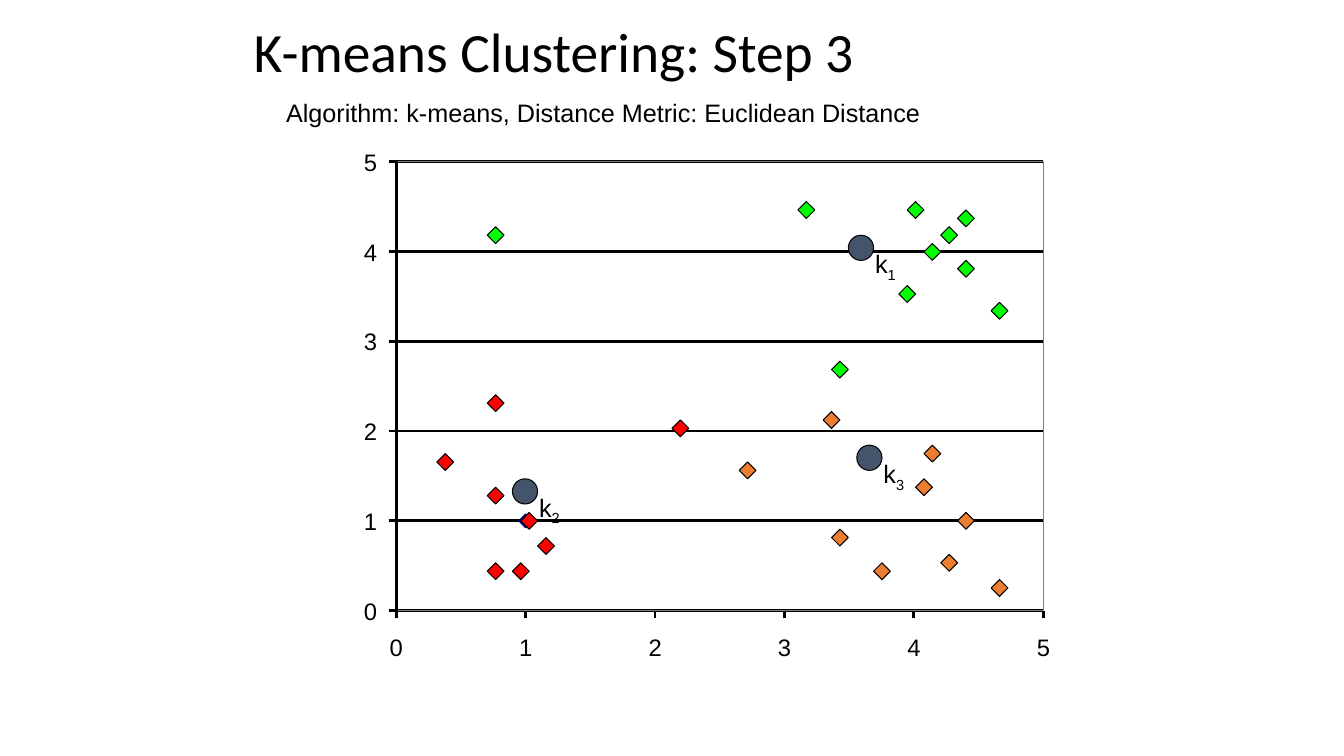
from lxml.etree import SubElement
from pptx import Presentation
from pptx.dml.color import RGBColor
from pptx.enum.shapes import MSO_CONNECTOR, MSO_SHAPE
from pptx.enum.text import MSO_ANCHOR
from pptx.oxml.ns import qn
from pptx.util import Pt

AXIS_MAX = 5
GRID = 6
TICK = 5.4
CENTROIDS = [(54, 9), (14, 38), (55, 34)]
CLUSTERS = {
    "FF0000": [(15, 42), (17, 45), (14, 48), (11, 39), (11, 28), (11, 48),
               (5, 35), (33, 31)],
    "00FF00": [(11, 8), (61, 5), (67, 6), (65, 8), (63, 10), (67, 12),
               (71, 17), (48, 5), (52, 24), (60, 15)],
    "ED7D31": [(52, 44), (57, 48), (62, 38), (51, 30), (41, 36), (67, 42),
               (65, 47), (63, 34), (71, 50)],
}


def color(code):
    """Turn a hex string into a colour."""
    return RGBColor.from_string(code)


def add_text(page, box, text, font, size, wrap=True, inset=True):
    """Place one paragraph of text in a box and return its frame."""
    frame = page.shapes.add_textbox(*map(Pt, box)).text_frame
    frame.word_wrap = wrap
    if not inset:
        frame.margin_left = frame.margin_right = 0
        frame.margin_top = frame.margin_bottom = 0
    frame.text = text
    font_style = frame.paragraphs[0].runs[0].font
    font_style.name = font
    font_style.size = Pt(size)
    font_style.color.rgb = color("000000")
    return frame


def add_shape(page, kind, box, fill, outline, width=0.75):
    """Place a preset shape; leave out fill or outline where it is None."""
    shape = page.shapes.add_shape(kind, *map(Pt, box))
    shape.shadow.inherit = False
    if fill:
        shape.fill.solid()
        shape.fill.fore_color.rgb = color(fill)
    else:
        shape.fill.background()
    if outline:
        shape.line.color.rgb = color(outline)
        shape.line.width = Pt(width)
    else:
        shape.line.fill.background()


def add_line(page, *ends):
    """Draw a black hairline between two points."""
    line = page.shapes.add_connector(MSO_CONNECTOR.STRAIGHT, *map(Pt, ends))
    line.line.color.rgb = color("000000")
    line.line.width = Pt(0)
    SubElement(line._element.spPr, qn("a:effectLst"))


def add_heading(page, box):
    """Place the title with the subtitle below it."""
    left, top, width, height = box
    title = add_text(page, (left, top, width, 42), "K-means Clustering: Step 3",
                     "Calibri", 39.6)
    title.vertical_anchor = MSO_ANCHOR.MIDDLE
    title.paragraphs[0].line_spacing = 0.9
    add_text(page, (left + 23, top + height - 29, 472, 29),
             "Algorithm: k-means, Distance Metric: Euclidean Distance",
             "Arial", 18, wrap=False)


def add_axes(page, box):
    """Draw the plot area with its gridlines, ticks and numbers."""
    left, top, width, height = box
    right, bottom = left + width, top + height
    add_shape(page, MSO_SHAPE.RECTANGLE, box, "FFFFFF", None)
    levels = [bottom - height * value / AXIS_MAX for value in range(AXIS_MAX + 1)]
    columns = [left + width * value / AXIS_MAX for value in range(AXIS_MAX + 1)]
    for y in levels:
        add_line(page, left, y, right, y)
    add_shape(page, MSO_SHAPE.RECTANGLE, box, None, "808080", 0.63)
    add_line(page, left, top, left, bottom)
    for value, (x, y) in enumerate(zip(columns, levels)):
        add_line(page, left - TICK, y, left, y)
        add_line(page, x, bottom + TICK, x, bottom)
        for label_left, label_top in ((left - 23, y - 10), (x - 4.6, bottom + 15.9)):
            add_text(page, (label_left, label_top, 9.4, 20.9), str(value),
                     "Arial", 17, wrap=False, inset=False)
    add_shape(page, MSO_SHAPE.DIAMOND, (columns[1] - 5, levels[1] - 5, 10, 10),
              "000080", "000080", 0.63)


def add_centroids(page, box):
    """Place the centroids, each with its subscripted label."""
    for number, (column, row) in enumerate(CENTROIDS, 1):
        left, top = box[0] + GRID * column, box[1] + GRID * row
        add_shape(page, MSO_SHAPE.OVAL, (left, top, 18, 18), "44546A", "000000")
        frame = add_text(page, (left + 12, top + 6, 42, 29), "k", "Arial", 18)
        span = frame.paragraphs[0].add_run()
        span.text = str(number)
        span.font.name = "Arial"
        span.font.size = Pt(18)
        span.font.color.rgb = color("000000")
        span.font._element.set("baseline", "-25000")


def add_clusters(page, box):
    """Place the data points in the colour of their cluster."""
    for fill, points in CLUSTERS.items():
        for column, row in points:
            place = (box[0] + GRID * column, box[1] + GRID * row, 12, 12)
            add_shape(page, MSO_SHAPE.DIAMOND, place, fill, "000000")


def main():
    """Build the slide and save it."""
    deck = Presentation()
    deck.slide_width, deck.slide_height = Pt(960), Pt(540)
    page = deck.slides.add_slide(deck.slide_layouts[6])
    points_box = (282, 114, 462, 324)
    add_axes(page, (283, 115.2, 462.2, 321.1))
    add_heading(page, (174.2, 18, 612, 77))
    add_centroids(page, points_box)
    add_clusters(page, points_box)
    deck.save("out.pptx")


if __name__ == "__main__":
    main()
